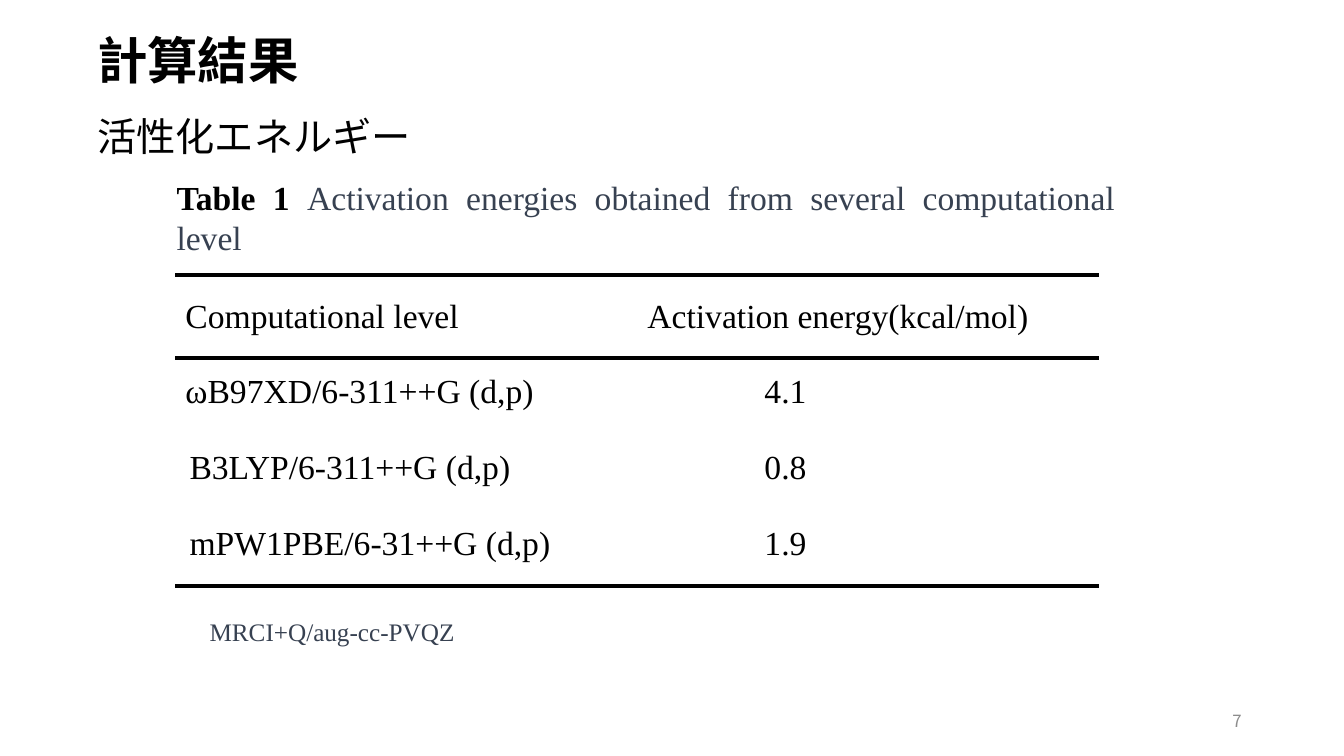
from lxml.etree import SubElement
from pptx import Presentation
from pptx.dml.color import RGBColor
from pptx.enum.shapes import MSO_CONNECTOR
from pptx.enum.text import MSO_ANCHOR, PP_ALIGN
from pptx.oxml.ns import qn
from pptx.util import Pt

COLORS = {"black": "000000", "slate": "374151", "gray": "8C8C8C"}
SANS = "Noto Sans CJK JP"
SERIF = "Times New Roman"
PLAIN_TABLE_STYLE = "{2D5ABB26-0587-4C30-8999-92F81FD0307C}"
ROWS = [
    ("Computational level", "Activation energy(kcal/mol)"),
    ("ωB97XD/6-311++G (d,p)", "4.1"),
    ("B3LYP/6-311++G (d,p)", "0.8"),
    ("mPW1PBE/6-31++G (d,p)", "1.9"),
]
TABLE_LEFT, TABLE_TOP, TABLE_WIDTH = 125.3, 196.6, 660
HEADER_HEIGHT, ROW_HEIGHT = 59, 54.25
TABLE_HEIGHT = HEADER_HEIGHT + ROW_HEIGHT * (len(ROWS) - 1)


def add_text(paragraph, text, font=SERIF, size=24, color="black", bold=False):
    run = paragraph.add_run()
    run.text = text
    run.font.name = font
    run.font.size = Pt(size)
    run.font.bold = bold
    run.font.color.rgb = RGBColor.from_string(COLORS[color])
    SubElement(run.font._element, qn("a:ea"), typeface=font)


def add_box(slide, left, top, width, height, wrap=True,
            align=PP_ALIGN.LEFT, anchor=MSO_ANCHOR.TOP):
    box = slide.shapes.add_textbox(Pt(left), Pt(top), Pt(width), Pt(height))
    box.text_frame.word_wrap = wrap
    box.text_frame.vertical_anchor = anchor
    paragraph = box.text_frame.paragraphs[0]
    paragraph.alignment = align
    return paragraph


def add_rule(slide, top):
    rule = slide.shapes.add_connector(
        MSO_CONNECTOR.STRAIGHT, Pt(TABLE_LEFT), Pt(top),
        Pt(TABLE_LEFT + TABLE_WIDTH), Pt(top))
    rule.line.width = Pt(3)
    rule.line.color.rgb = RGBColor.from_string(COLORS["black"])
    SubElement(rule._element.spPr, qn("a:effectLst"))


def fill_cell(cell, text, left, top):
    cell.margin_left, cell.margin_top = Pt(left), Pt(top)
    cell.margin_right = cell.margin_bottom = 0
    cell.vertical_anchor = MSO_ANCHOR.TOP
    cell.fill.background()
    add_text(cell.text_frame.paragraphs[0], text)


def add_energy_table(slide):
    frame = slide.shapes.add_table(
        len(ROWS), 2, Pt(TABLE_LEFT), Pt(TABLE_TOP),
        Pt(TABLE_WIDTH), Pt(TABLE_HEIGHT))
    table = frame.table
    table.first_row = table.horz_banding = False
    table._tbl.tblPr.find(qn("a:tableStyleId")).text = PLAIN_TABLE_STYLE
    level_insets = [7.2, 7.2, 10.1, 10.1]
    for index, texts in enumerate(ROWS):
        is_header = index == 0
        table.rows[index].height = Pt(HEADER_HEIGHT if is_header else ROW_HEIGHT)
        insets = (level_insets[index], 7.2 if is_header else 90.8)
        top = 16.5 if is_header else 11.4
        for column, text in enumerate(texts):
            fill_cell(table.cell(index, column), text, insets[column], top)
    for offset in (0, HEADER_HEIGHT, TABLE_HEIGHT):
        add_rule(slide, TABLE_TOP + offset)


def main():
    presentation = Presentation()
    presentation.slide_width = Pt(960)
    presentation.slide_height = Pt(540)
    slide = presentation.slides.add_slide(presentation.slide_layouts[6])

    title = add_box(slide, 62.3, 17.3, 160, 51, wrap=False)
    add_text(title, "計算結果", font=SANS, size=36, bold=True)
    subtitle = add_box(slide, 62.6, 76.6, 629, 41)
    add_text(subtitle, "活性化エネルギー", font=SANS, size=28)

    caption = add_box(slide, 119, 122.7, 684.7, 22.3, align=PP_ALIGN.JUSTIFY)
    add_text(caption, "Table 1 ", bold=True)
    add_text(caption,
             "Activation energies obtained from several computational level",
             color="slate")
    add_energy_table(slide)

    reference = add_box(slide, 142.6, 436.7, 191.5, 29, wrap=False)
    add_text(reference, "MRCI+Q/aug-cc-PVQZ", size=18, color="slate")
    number = add_box(slide, 678, 500.4, 216, 28.8, align=PP_ALIGN.RIGHT,
                     anchor=MSO_ANCHOR.MIDDLE)
    add_text(number, "7", font=SANS, size=12, color="gray")
    presentation.save("out.pptx")


main()
